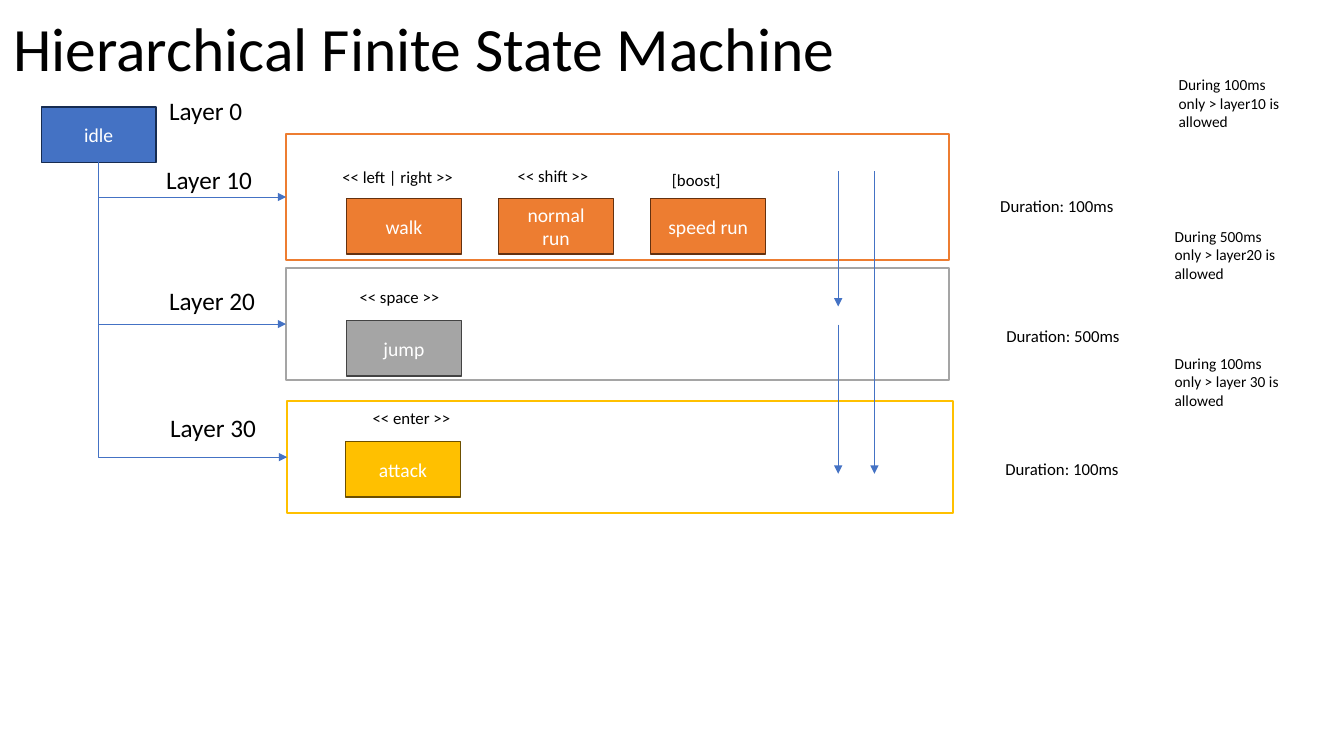
from dataclasses import dataclass
from typing import Optional

from pptx import Presentation
from pptx.dml.color import RGBColor
from pptx.enum.shapes import MSO_CONNECTOR as Link, MSO_SHAPE as Preset
from pptx.enum.text import MSO_ANCHOR as Anchor, MSO_AUTO_SIZE as Fit, PP_ALIGN as Align
from pptx.oxml.ns import qn
from pptx.oxml.xmlchemy import OxmlElement
from pptx.shapes.autoshape import Shape
from pptx.shapes.connector import Connector
from pptx.text.text import TextFrame
from pptx.util import Inches, Pt

CELL = 0.1
FONT = "Calibri"
BLACK = RGBColor(0x00, 0x00, 0x00)
WHITE = RGBColor(0xFF, 0xFF, 0xFF)
BLUE = RGBColor(0x44, 0x72, 0xC4)
NAVY = RGBColor(0x17, 0x2C, 0x51)
ORANGE = RGBColor(0xED, 0x7D, 0x31)
BROWN = RGBColor(0x64, 0x31, 0x0F)
GREY = RGBColor(0xA5, 0xA5, 0xA5)
CHARCOAL = RGBColor(0x43, 0x43, 0x43)
GOLD = RGBColor(0xFF, 0xC0, 0x00)
OLIVE = RGBColor(0x6C, 0x4F, 0x00)


@dataclass(frozen=True)
class Box:
    """Place of an object in grid columns and rows."""
    column: float
    row: float
    columns: float
    rows: float


@dataclass(frozen=True)
class State:
    """A state with the trigger written above it."""
    name: str
    trigger: str
    trigger_box: Box
    wraps: bool = False


@dataclass(frozen=True)
class Layer:
    """A panel of states with its label, duration and rule."""
    label: str
    label_box: Box
    panel: Box
    fill: RGBColor
    edge: RGBColor
    first_state: tuple[float, float]
    states: tuple[State, ...]
    duration: str
    duration_at: tuple[float, float]
    rule: str
    rule_at: tuple[float, float]


STATE_SIZE = (11.4, 5.5)
STATE_STEP = 15.1
DURATION_SIZE = (13.3, 3)
RULE_SIZE = (13.2, 6.7)
IDLE = Box(4.1, 10.6, *STATE_SIZE)
LAYERS = (
    Layer("Layer 10", Box(15.5, 15.8, 10.6, 4), Box(28.4, 13.3, 65.8, 12.5), ORANGE, BROWN,
          (34.4, 19.7),
          (State("walk", "<< left | right >>", Box(33, 16.1, 13, 3)),
           State("normal\nrun", "<< shift >>", Box(50.4, 16, 9.2, 3), True),
           State("speed run", "[boost]", Box(65.7, 16.3, 9.2, 3), True)),
          "Duration: 100ms", (98.3, 18.9), "During 100ms only > layer10 is allowed", (116, 6.9)),
    Layer("Layer 20", Box(15.8, 27.8, 10.6, 4), Box(28.4, 26.6, 65.8, 11.1), GREY, CHARCOAL,
          (34.4, 31.8), (State("jump", "<< space >>", Box(34.7, 28, 9.9, 3)),),
          "Duration: 500ms", (98.9, 31.8), "During 500ms only > layer20 is allowed", (115.6, 21.9)),
    Layer("Layer 30", Box(15.9, 40.4, 10.6, 4), Box(28.5, 39.8, 66.1, 11.1), GOLD, OLIVE,
          (34.3, 43.8), (State("attack", "<< enter >>", Box(36, 40, 9.7, 3)),),
          "Duration: 100ms", (98.8, 45), "During 100ms only > layer 30 is allowed", (115.6, 34.5)),
)
DROPS = ((83.2, 17, 30.4), (86.8, 17, 47), (83.2, 32.2, 47))


def grid(cells: float) -> int:
    """Turn grid cells into a length."""
    return Inches(cells * CELL)


def place(box: Box) -> tuple[int, int, int, int]:
    """Give left, top, width and height of a box."""
    return grid(box.column), grid(box.row), grid(box.columns), grid(box.rows)


def write(frame: TextFrame, text: str, size: float, color: RGBColor, align: Align) -> None:
    """Fill a text frame with evenly formatted paragraphs."""
    frame.text = text
    for para in frame.paragraphs:
        para.alignment = align
        para.font.name, para.font.size = FONT, Pt(size)
        para.font.color.rgb = color


def add_label(page, box: Box, text: str, size: float, wraps: bool = False) -> None:
    """Add a plain text box."""
    frame = page.shapes.add_textbox(*place(box)).text_frame
    frame.word_wrap, frame.auto_size = wraps, Fit.SHAPE_TO_FIT_TEXT
    write(frame, text, size, BLACK, Align.LEFT)


def add_box(page, box: Box, fill: RGBColor, edge: Optional[RGBColor], text: str = "",
            size: float = 14, color: RGBColor = WHITE, align: Align = Align.CENTER) -> Shape:
    """Add a rectangle with centred or left text."""
    shape = page.shapes.add_shape(Preset.RECTANGLE, *place(box))
    shape.shadow.inherit = False
    shape.fill.solid()
    shape.fill.fore_color.rgb = fill
    if edge is None:
        shape.line.fill.background()
    else:
        shape.line.color.rgb, shape.line.width = edge, Pt(1)
    if text:
        shape.text_frame.word_wrap = True
        shape.text_frame.vertical_anchor = Anchor.MIDDLE
        write(shape.text_frame, text, size, color, align)
    return shape


def style_arrow(arrow: Connector) -> None:
    """Make a connector a thin blue arrow without a shadow."""
    arrow.line.color.rgb, arrow.line.width = BLUE, Pt(0.5)
    head = OxmlElement("a:tailEnd")
    head.set("type", "triangle")
    arrow.line._get_or_add_ln().append(head)
    arrow.element.spPr.append(OxmlElement("a:effectLst"))


def add_branch(page, source: Shape, target: Shape) -> None:
    """Lead an arrow down from the source and right to the target."""
    left, top = source.left + source.width // 2, source.top + source.height
    right, bottom = target.left, target.top + target.height // 2
    arrow = page.shapes.add_connector(Link.ELBOW, left, top, right, bottom)
    arrow.begin_connect(source, 2)
    arrow.end_connect(target, 1)
    arrow.width, arrow.height = bottom - top, right - left
    arrow.left = (left + right - arrow.width) // 2
    arrow.top = (top + bottom - arrow.height) // 2
    frame = arrow.element.spPr.find(qn("a:xfrm"))
    frame.set("rot", "16200000")
    frame.set("flipH", "1")
    arrow.element.spPr.find(qn("a:prstGeom")).set("prst", "bentConnector2")
    style_arrow(arrow)


def add_layer(page, layer: Layer) -> None:
    """Add the states and texts of one layer."""
    column, row = layer.first_state
    for index, state in enumerate(layer.states):
        box = Box(column + index * STATE_STEP, row, *STATE_SIZE)
        add_box(page, box, layer.fill, layer.edge, state.name)
        add_label(page, state.trigger_box, state.trigger, 12, state.wraps)
    add_label(page, layer.label_box, layer.label, 18)
    add_label(page, Box(*layer.duration_at, *DURATION_SIZE), layer.duration, 12)
    add_box(page, Box(*layer.rule_at, *RULE_SIZE), WHITE, None, layer.rule, 11, BLACK, Align.LEFT)


def add_title(page, text: str) -> None:
    """Move and format the title placeholder."""
    title = page.shapes.title
    title.left, title.top, title.width, title.height = place(Box(0.3, 0.1, 133, 10.1))
    frame = title.text_frame
    frame.vertical_anchor, frame.auto_size = Anchor.MIDDLE, Fit.NONE
    write(frame, text, 44, BLACK, Align.LEFT)
    frame.paragraphs[0].line_spacing = 0.9


def main() -> None:
    """Build the slide and save the deck."""
    deck = Presentation()
    deck.slide_width, deck.slide_height = grid(133.4), grid(75)
    page = deck.slides.add_slide(deck.slide_layouts[5])
    add_title(page, "Hierarchical Finite State Machine")
    panels = [add_box(page, layer.panel, WHITE, layer.fill) for layer in reversed(LAYERS)]
    idle = add_box(page, IDLE, BLUE, NAVY, "idle")
    for panel in reversed(panels):
        add_branch(page, idle, panel)
    for column, start, end in DROPS:
        style_arrow(page.shapes.add_connector(
            Link.STRAIGHT, grid(column), grid(start), grid(column), grid(end)))
    add_label(page, Box(15.8, 9, 9.3, 4), "Layer 0", 18)
    for layer in LAYERS:
        add_layer(page, layer)
    deck.save("out.pptx")


main()
